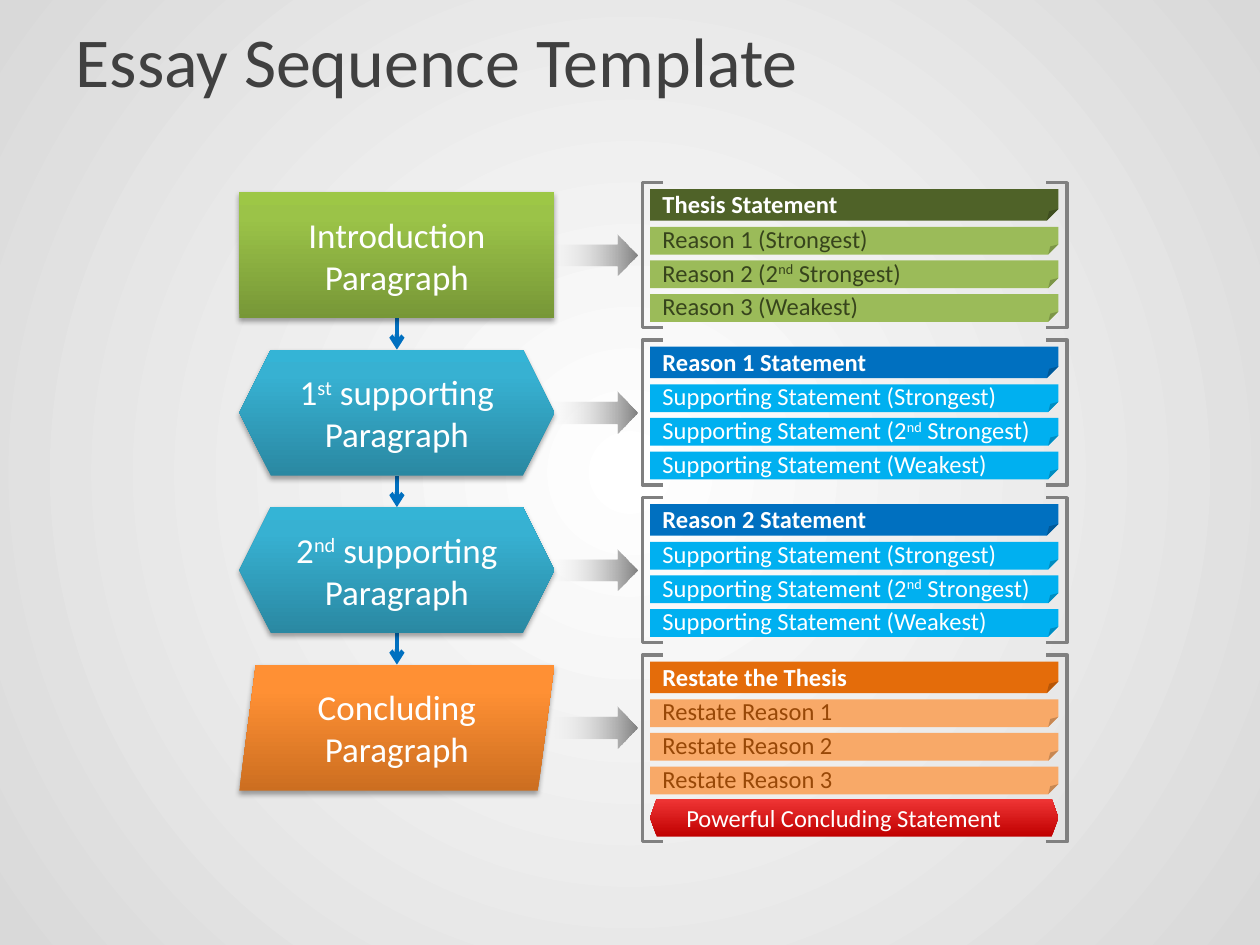
"""Build the essay sequence slide: four paragraph steps with their outlines."""
import pptx
import pptx.util
import pptx.dml.color
import pptx.enum.shapes
import pptx.enum.text
import pptx.oxml
import pptx.oxml.ns

Inches, Pt = pptx.util.Inches, pptx.util.Pt
Shape = pptx.enum.shapes.MSO_SHAPE
Align = pptx.enum.text.PP_ALIGN
Anchor = pptx.enum.text.MSO_ANCHOR
NS = pptx.oxml.ns.nsdecls("a")

TITLE = "Essay Sequence Template"
GREEN = [(0, "779737"), (80, "9BC348"), (100, "9DC746")]
BLUE = [(0, "2A88A2"), (80, "37B1D2"), (100, "34B4D6")]
ORANGE = [(0, "CC6E20"), (80, "FF9034"), (100, "FF9136")]
RED = [(0, "C00000"), (100, "EF3535")]
FADE = [(0, "FFFFFF", 0), (100, "808080")]
GLOW = [(0, "FFFFFF"), (100, "D9D9D9")]
SUPPORT = ["Supporting Statement (Strongest)",
           "Supporting Statement (2^nd^ Strongest)",
           "Supporting Statement (Weakest)"]
STEPS = [
    dict(text="Introduction Paragraph", kind=Shape.RECTANGLE, adj={}, grad=GREEN,
         head="Thesis Statement", dark="4F6228", light="9BBB59", ink="37441C",
         rows=["Reason 1 (Strongest)", "Reason 2 (2^nd^ Strongest)",
               "Reason 3 (Weakest)"], tall=1.15),
    dict(text="1^st^ supporting Paragraph", kind=Shape.HEXAGON, adj={}, grad=BLUE,
         head="Reason 1 Statement", dark="0070C0", light="00B0F0", ink="FFFFFF",
         rows=SUPPORT, tall=1.15),
    dict(text="2^nd^ supporting Paragraph", kind=Shape.HEXAGON, adj={}, grad=BLUE,
         head="Reason 2 Statement", dark="0070C0", light="00B0F0", ink="FFFFFF",
         rows=SUPPORT, tall=1.15),
    dict(text="Concluding\nParagraph", kind=Shape.PARALLELOGRAM,
         adj={"adj": 13100}, grad=ORANGE,
         head="Restate the Thesis", dark="E46C0A", light="F8A968", ink="984807",
         rows=["Restate Reason 1", "Restate Reason 2", "Restate Reason 3"],
         tall=1.48),
]
CLOSING = "Powerful Concluding Statement"
TOP, STEP, GAP = 1.525, 1.25, 0.267
LEFT, WIDE, LIST, SPAN = 1.9, 2.5, 5.16, 3.24


def color(code):
    return pptx.dml.color.RGBColor.from_string(code)


def blend(item, fill, stops, path):
    fill.gradient()
    old = item.element.find(".//" + pptx.oxml.ns.qn("a:gradFill"))
    marks = ""
    for pos, code, *alpha in stops:
        clear = f'<a:alpha val="{alpha[0] * 1000}"/>' if alpha else ""
        marks += (f'<a:gs pos="{pos * 1000}"><a:srgbClr val="{code}">'
                  f'{clear}</a:srgbClr></a:gs>')
    new = pptx.oxml.parse_xml(f'<a:gradFill {NS} rotWithShape="1"><a:gsLst>'
                              f'{marks}</a:gsLst>{path}</a:gradFill>')
    old.getparent().replace(old, new)


def adjust(shape, guides):
    old = shape.element.find(".//" + pptx.oxml.ns.qn("a:avLst"))
    marks = "".join(f'<a:gd name="{name}" fmla="val {value}"/>'
                    for name, value in guides.items())
    new = pptx.oxml.parse_xml(f'<a:avLst {NS}>{marks}</a:avLst>')
    old.getparent().replace(old, new)


def block(kind, box, fill, adj, angle=270):
    shape = shapes.add_shape(kind, *map(Inches, box))
    shape.shadow.inherit = False
    shape.line.fill.background()
    if adj:
        adjust(shape, adj)
    if isinstance(fill, str):
        shape.fill.solid()
        shape.fill.fore_color.rgb = color(fill)
    else:
        blend(shape, shape.fill, fill,
              f'<a:lin ang="{angle * 60000}" scaled="0"/>')
    return shape


def write(shape, text, size, ink, align=Align.LEFT, bold=False, pads=None):
    frame = shape.text_frame
    frame.word_wrap = True
    frame.vertical_anchor = Anchor.MIDDLE
    if pads:
        (frame.margin_left, frame.margin_top,
         frame.margin_right, frame.margin_bottom) = map(Inches, pads)
    for i, line in enumerate(text.split("\n")):
        para = frame.add_paragraph() if i else frame.paragraphs[0]
        para.alignment = align
        for j, part in enumerate(line.split("^")):
            run = para.add_run()
            run.text = part
            font = run.font
            font.name, font.size, font.bold = "Calibri", Pt(size), bold
            font.color.rgb = color(ink)
            if j % 2:
                run._r.get_or_add_rPr().set("baseline", "30000")


def shade(shape):
    props = shape.element.spPr.find(pptx.oxml.ns.qn("a:effectLst"))
    props.append(pptx.oxml.parse_xml(
        f'<a:outerShdw {NS} blurRad="{Pt(3.1)}" dist="{Pt(1.8)}" dir="5400000" '
        'rotWithShape="0"><a:srgbClr val="000000"><a:alpha val="35000"/>'
        '</a:srgbClr></a:outerShdw>'))


def link(x, top, end):
    line = shapes.add_connector(pptx.enum.shapes.MSO_CONNECTOR.STRAIGHT,
                                *map(Inches, (x, top, x, end)))
    line.line.color.rgb = color("0070C0")
    line.line.width = Pt(2.5)
    props = line.element.spPr
    props.find(pptx.oxml.ns.qn("a:ln")).append(
        pptx.oxml.parse_xml(f'<a:tailEnd {NS} type="arrow"/>'))
    props.append(pptx.oxml.parse_xml(f'<a:effectLst {NS}/>'))


def bracket(tip, edge, top, end):
    pen = shapes.build_freeform(Inches(tip), Inches(end))
    pen.add_line_segments([(Inches(x), Inches(y)) for x, y in
                           ((edge, end), (edge, top), (tip, top))], close=False)
    shape = pen.convert_to_shape()
    shape.shadow.inherit = False
    shape.fill.background()
    shape.line.color.rgb = color("808080")
    shape.line.width = Pt(2)


def bar(text, top, high, fill, ink, pad, bold=False):
    shape = block(Shape.FOLDED_CORNER, (LIST, top, SPAN, high), fill,
                  {"adj": 36600})
    write(shape, text, 14, ink, bold=bold, pads=(0.1, pad, 0.1, 0))


deck = pptx.Presentation()
deck.slide_width, deck.slide_height = Inches(10), Inches(7.5)
slide = deck.slides.add_slide(deck.slide_layouts[5])
shapes = slide.shapes
blend(slide, slide.background.fill, GLOW,
      '<a:path path="circle"><a:fillToRect l="50000" t="50000" r="50000" '
      'b="50000"/></a:path>')

title = shapes.title
title.left, title.top, title.width, title.height = map(Inches, (0.5, 0.08, 9, 0.78))
write(title, TITLE, 40, "404040")

for i, step in enumerate(STEPS):
    top = TOP + i * STEP
    if i < len(STEPS) - 1:
        link(LEFT + WIDE / 2, top + 1, top + STEP)
    block(Shape.RIGHT_ARROW, (4.32, top + 0.335, 0.74, 0.33), FADE,
          {"adj1": 52200, "adj2": 50000}, 0)
    box = block(step["kind"], (LEFT, top, WIDE, 1), step["grad"], step["adj"])
    shade(box)
    write(box, step["text"], 20, "FFFFFF", Align.CENTER)
    bar(step["head"], top - 0.025, 0.25, step["dark"], "FFFFFF", 0.08, True)
    for j, row in enumerate(step["rows"]):
        bar(row, top + 0.275 + j * GAP, 0.22, step["light"], step["ink"], 0.05)
    start = top - 0.075
    for tip, edge in ((5.26, 5.1), (8.3, 8.47)):
        bracket(tip, edge, start, start + step["tall"])

final = block(Shape.HEXAGON, (LIST, 6.34, SPAN, 0.3), RED, {"adj": 17600})
write(final, CLOSING, 14, "FFFFFF", pads=(0, 0, 0, 0))
deck.save("out.pptx")
